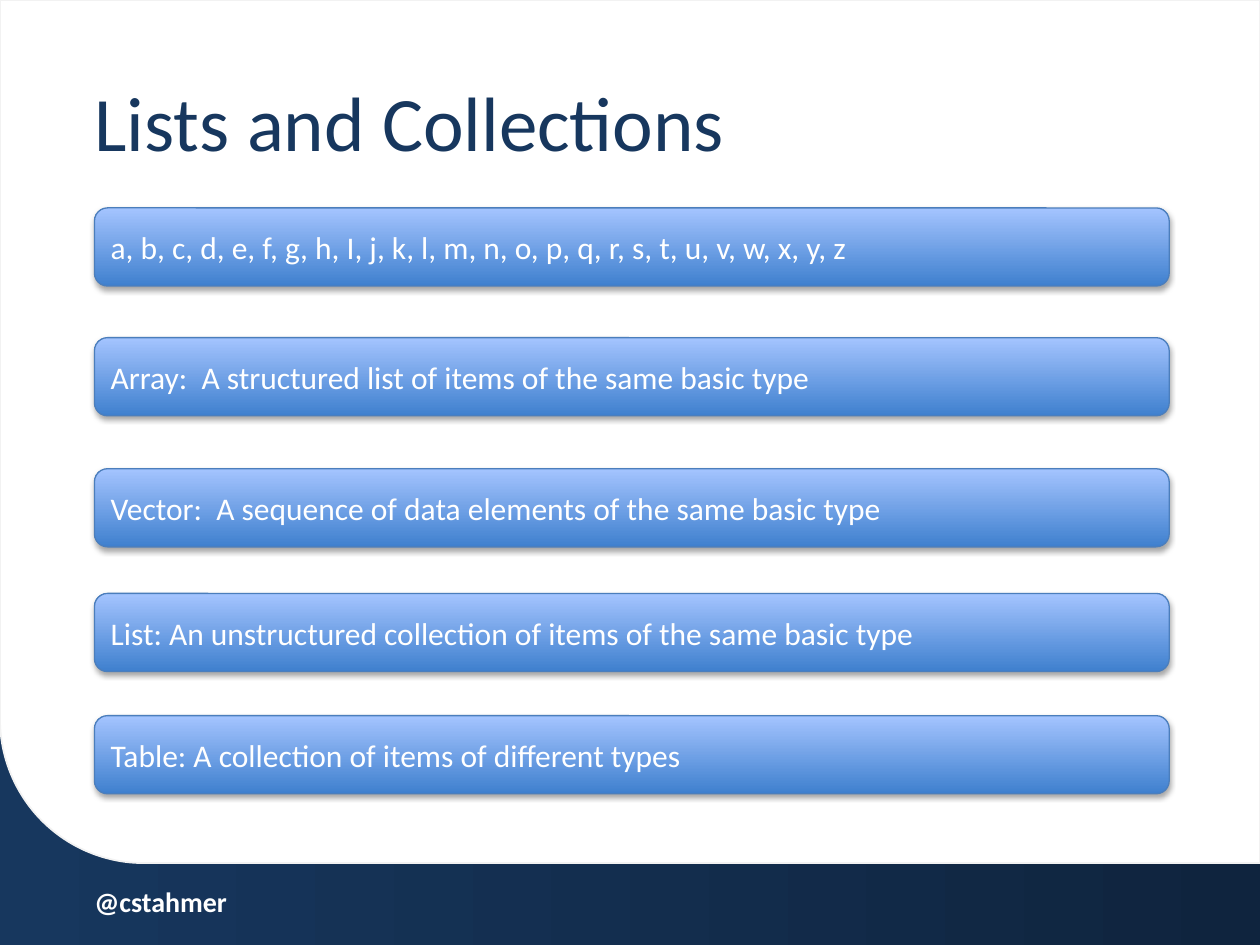
from dataclasses import dataclass

from lxml.etree import SubElement as Sub
from pptx import Presentation
from pptx.dml.color import RGBColor as Rgb
from pptx.enum.shapes import MSO_SHAPE as Shape
from pptx.enum.text import MSO_ANCHOR as Anchor, PP_ALIGN as Align
from pptx.oxml.ns import qn
from pptx.util import Inches, Pt


@dataclass(frozen=True)
class Theme:
    font: str = "Calibri"
    navy: str = "17375E"
    night: str = "0F243E"
    white: str = "FFFFFF"
    edge: str = "F2F2F2"
    deep: str = "3F80CE"
    pale: str = "A4C4FF"
    rim: str = "4B7EBC"
    head: int = 44
    body: int = 18
    foot: int = 16


class Deck:
    def __init__(self, theme):
        self.theme = theme
        self.prs = Presentation()
        self.prs.slide_width, self.prs.slide_height = Inches(10), Inches(7.5)
        self.slide = self.prs.slides.add_slide(self.prs.slide_layouts[5])

    def blend(self, fill, first, last, angle):
        fill.gradient()
        fill.gradient_angle = angle
        for stop, tint in zip(fill.gradient_stops, (first, last)):
            stop.color.rgb = Rgb.from_string(tint)

    def add_run(self, frame, text, size, tint, bold=False):
        para = frame.paragraphs[0]
        para.alignment = Align.LEFT
        run = para.add_run()
        run.text = text
        font = run.font
        font.name, font.size, font.bold = self.theme.font, Pt(size), bold
        font.color.rgb = Rgb.from_string(tint)
        return para

    def trim(self, frame):
        frame.margin_left = frame.margin_right = 0
        frame.margin_top = frame.margin_bottom = 0
        frame.word_wrap = True

    def shape(self, kind, box, rim, width):
        item = self.slide.shapes.add_shape(kind, *map(Inches, box))
        item.shadow.inherit = False
        item.line.color.rgb = Rgb.from_string(rim)
        item.line.width = Pt(width)
        return item

    def panel(self, box):
        look = self.theme
        item = self.shape(Shape.ROUND_1_RECTANGLE, box, look.edge, 1)
        item.rotation = 180  # round corner at bottom left
        item.fill.solid()
        item.fill.fore_color.rgb = Rgb.from_string(look.white)
        # Send behind the title
        self.slide.shapes._spTree.insert(2, item._element)

    def title(self, text, box):
        item = self.slide.shapes.title
        item.left, item.top, item.width, item.height = map(Inches, box)
        frame = item.text_frame
        self.trim(frame)
        frame.vertical_anchor = Anchor.MIDDLE
        para = self.add_run(frame, text, self.theme.head, self.theme.navy)
        para.line_spacing = 0.9

    def bar(self, text, box):
        look = self.theme
        item = self.shape(Shape.ROUNDED_RECTANGLE, box, look.rim, 0.75)
        self.blend(item.fill, look.deep, look.pale, 90)
        self.shade(item)
        frame = item.text_frame
        frame.word_wrap = True
        frame.vertical_anchor = Anchor.MIDDLE
        self.add_run(frame, text, look.body, look.white)

    def shade(self, item):
        effects = item._element.spPr.find(qn("a:effectLst"))
        drop = Sub(effects, qn("a:outerShdw"), blurRad=str(Pt(3.1)),
                   dist=str(Pt(1.8)), dir="5400000", rotWithShape="0")
        tint = Sub(drop, qn("a:srgbClr"), val="000000")
        Sub(tint, qn("a:alpha"), val="35000")

    def label(self, text, box):
        frame = self.slide.shapes.add_textbox(*map(Inches, box)).text_frame
        self.trim(frame)
        para = self.add_run(frame, text, self.theme.foot, self.theme.white, True)
        para.space_before = Pt(0.2 * self.theme.foot)


def main():
    look = Theme()
    deck = Deck(look)

    # Backdrop
    deck.blend(deck.slide.background.fill, look.navy, look.night, 0)
    deck.panel((0, 0, 10, 6.85))

    # Title
    left, width = 0.75, 8.53
    deck.title("Lists and Collections", (left, 0.55, width, 0.91))

    # Definition bars
    bars = (
        (1.65, "a, b, c, d, e, f, g, h, I, j, k, l, m, n, o, p, q, r, s, t, u, v, w, x, y, z"),
        (2.68, "Array:  A structured list of items of the same basic type"),
        (3.72, "Vector:  A sequence of data elements of the same basic type"),
        (4.71, "List: An unstructured collection of items of the same basic type"),
        (5.68, "Table: A collection of items of different types"),
    )
    for top, text in bars:
        deck.bar(text, (left, top, width, 0.62))

    # Footer
    deck.label("@cstahmer", (left, 7.02, 1.07, 0.35))

    deck.prs.save("out.pptx")


if __name__ == "__main__":
    main()
